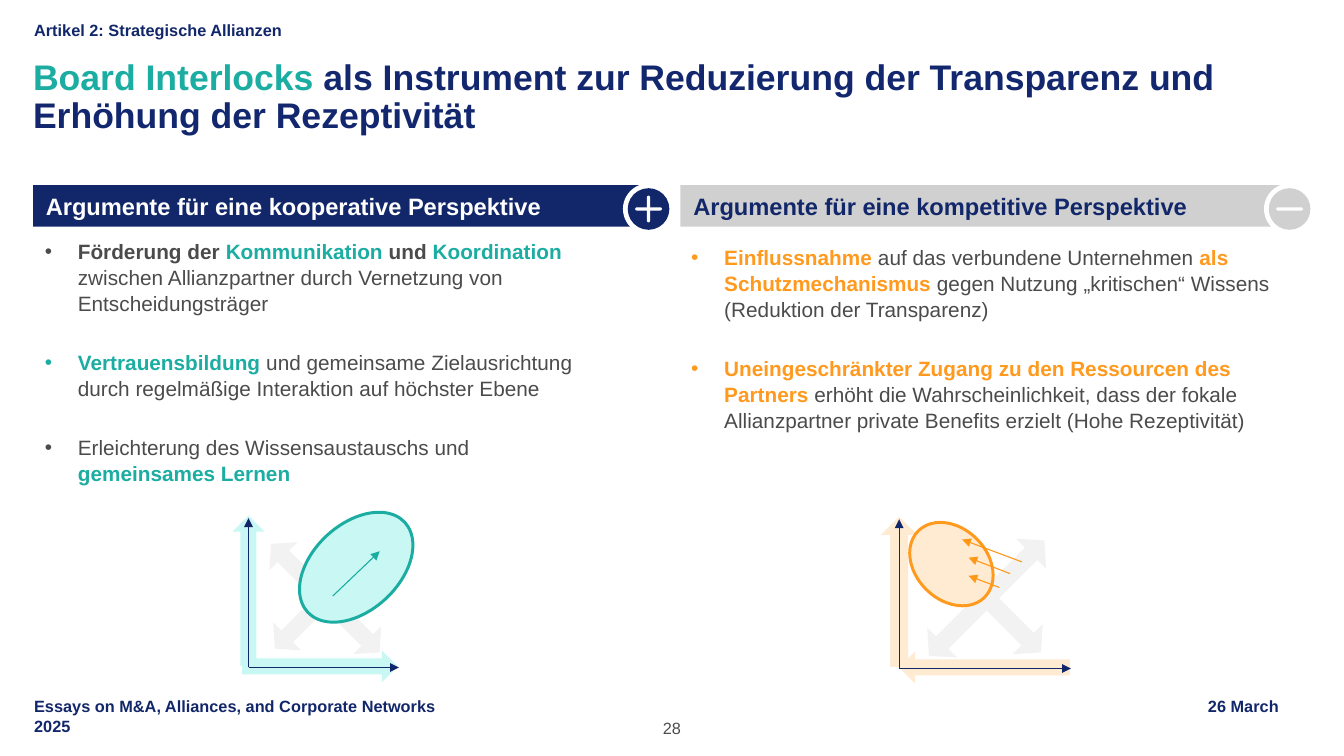
from dataclasses import dataclass

from lxml import etree
from pptx import Presentation
from pptx.dml.color import RGBColor
from pptx.enum.shapes import MSO_CONNECTOR, MSO_SHAPE
from pptx.enum.text import MSO_ANCHOR, MSO_AUTO_SIZE, PP_ALIGN
from pptx.oxml.ns import qn
from pptx.util import Emu, Inches, Pt

RECT, ROUND, OVAL = MSO_SHAPE.RECTANGLE, MSO_SHAPE.ROUNDED_RECTANGLE, MSO_SHAPE.OVAL
ARROW, QUAD = MSO_SHAPE.RIGHT_ARROW, MSO_SHAPE.QUAD_ARROW
STRAIGHT = MSO_CONNECTOR.STRAIGHT
TOP, MIDDLE, BOTTOM = MSO_ANCHOR.TOP, MSO_ANCHOR.MIDDLE, MSO_ANCHOR.BOTTOM
LEFT, CENTER = PP_ALIGN.LEFT, PP_ALIGN.CENTER
NO_FIT = MSO_AUTO_SIZE.NONE


@dataclass(frozen=True)
class Theme:
    font: str = "Arial"
    navy: str = "122769"
    title_navy: str = "12276E"
    teal: str = "1BADA2"
    teal_tint: str = "C9F7F3"
    orange: str = "FF9A1E"
    orange_tint: str = "FFEBD2"
    arrow_orange: str = "FF9718"
    text: str = "4B4B4B"
    gray: str = "D0D0D0"
    pale: str = "F2F2F2"
    white: str = "FFFFFF"
    small: float = 11
    body: float = 14
    header: float = 16
    title: float = 24


T = Theme()


def write(p, text, size=T.body, color=T.text, bold=False):
    r = p.add_run()
    r.text = text
    r.font.name, r.font.size, r.font.bold = T.font, Pt(size), bold
    r.font.color.rgb = RGBColor.from_string(color)


class SlideBuilder:
    """Holds the theme and the current slide and adds its elements."""

    def __init__(self, s, theme):
        self.s, self.t = s, theme

    def place(self, sp, x, y, w, h):
        sp.left, sp.top, sp.width, sp.height = map(Inches, (x, y, w, h))

    def frame(self, sp, anchor=TOP, insets=(0, 0, 0, 0)):
        tf = sp.text_frame
        tf.word_wrap, tf.auto_size, tf.vertical_anchor = True, NO_FIT, anchor
        tf.margin_left, tf.margin_top, tf.margin_right, tf.margin_bottom = map(Inches, insets)
        return tf

    def paragraph(self, tf, runs, first=True, spacing=1.04, before=0, align=LEFT):
        p = tf.paragraphs[0] if first else tf.add_paragraph()
        p.alignment, p.line_spacing = align, spacing
        p.space_before, p.space_after = Pt(0 if first else before), Pt(0)
        for text, fmt in runs:
            write(p, text, **fmt)
        return p

    def title(self, runs):
        sp = self.s.shapes.title
        self.place(sp, 0.31, 0.56, 11.97, 0.73)
        self.paragraph(self.frame(sp), runs, spacing=0.9)

    def bullets(self, idx, x, y, w, h, items):
        sp = self.s.placeholders[idx]
        self.place(sp, x, y, w, h)
        tf = self.frame(sp, insets=(0.1, 0.05, 0.1, 0.05))
        for i, runs in enumerate(items):
            p = self.paragraph(tf, runs, first=i == 0, before=22.5)
            pPr = p._p.get_or_add_pPr()
            pPr.set("marL", str(Inches(0.31)))
            pPr.set("indent", str(Inches(-0.31)))
            etree.SubElement(pPr, qn("a:buFont")).set("typeface", self.t.font)
            etree.SubElement(pPr, qn("a:buChar")).set("char", "•")

    def label(self, x, y, w, h, lines, align=LEFT, tab=None, spacing=1.04, color=T.navy, bold=True):
        sp = self.s.shapes.add_textbox(0, 0, 0, 0)
        self.place(sp, x, y, w, h)
        tf = self.frame(sp, BOTTOM)
        fmt = dict(size=self.t.small, color=color, bold=bold)
        for i, line in enumerate(lines):
            p = self.paragraph(tf, [(line, fmt)], first=i == 0, align=align, spacing=spacing)
            if tab and "\t" in line:
                tabs = etree.SubElement(p._p.get_or_add_pPr(), qn("a:tabLst"))
                stop = etree.SubElement(tabs, qn("a:tab"))
                stop.set("pos", str(Inches(tab)))
                stop.set("algn", "r")

    def shape(self, kind, cx, cy, w, h, fill, line=None, rotation=0, adj=()):
        sp = self.s.shapes.add_shape(
            kind, Inches(cx - w / 2), Inches(cy - h / 2), Inches(w), Inches(h))
        sp.shadow.inherit = False
        sp.rotation = rotation
        sp.fill.solid()
        sp.fill.fore_color.rgb = RGBColor.from_string(fill)
        if line:
            sp.line.color.rgb, sp.line.width = RGBColor.from_string(line), Pt(2)
        else:
            sp.line.fill.background()
        for i, value in enumerate(adj):
            sp.adjustments[i] = value
        return sp

    def arrow(self, start, end, color):
        points = [Inches(v) for v in (*start, *end)]
        c = self.s.shapes.add_connector(STRAIGHT, *points)
        c.line.color.rgb, c.line.width = RGBColor.from_string(color), Pt(0.75)
        etree.SubElement(c.line._get_or_add_ln(), qn("a:tailEnd")).set("type", "triangle")
        etree.SubElement(c._element.spPr, qn("a:effectLst"))

    def header(self, x, w, text, fill, color):
        sp = self.shape(RECT, x + w / 2, 1.93, w, 0.39, fill)
        tf = self.frame(sp, MIDDLE, (0.12, 0.08, 0.08, 0.08))
        self.paragraph(tf, [(text, dict(size=self.t.header, color=color, bold=True))])

    def badge(self, cx, fill, bars):
        cy = 1.96
        self.shape(OVAL, cx, cy, 0.48, 0.48, self.t.white)
        self.shape(OVAL, cx, cy, 0.39, 0.39, fill)
        for w, h in bars:
            self.shape(ROUND, cx, cy, w, h, self.t.white, adj=(0.5,))

    def axes(self, x, y, width, tint, quad, band, thickness, turn):
        self.shape(QUAD, *quad, self.t.pale, rotation=45, adj=(0.114, 0.138, 0.122))
        self.shape(ARROW, *band, 0.3, tint, rotation=turn)
        self.shape(ARROW, x, y - 0.72, 1.41, thickness, tint, rotation=270)
        for end in ((x, y - 1.4), (x + width, y)):
            self.arrow((x, y), end, self.t.navy)


def main():
    prs = Presentation()
    prs.slide_width, prs.slide_height = Inches(12.6), Inches(7.09)
    b = SlideBuilder(prs.slides.add_slide(prs.slide_layouts[3]), T)
    plain, strong = dict(), dict(bold=True)
    teal, orange = dict(color=T.teal, bold=True), dict(color=T.orange, bold=True)

    b.label(0.32, 0, 11.97, 0.37, ["Artikel 2: Strategische Allianzen"])
    b.title([
        ("Board Interlocks ", dict(size=T.title, **teal)),
        ("als Instrument zur Reduzierung der Transparenz und Erhöhung der Rezeptivität",
         dict(size=T.title, color=T.title_navy, bold=True)),
    ])
    b.bullets(1, 0.32, 2.18, 5.51, 2.6, [
        [("Förderung der ", strong), ("Kommunikation", teal), (" und ", strong),
         ("Koordination ", teal),
         ("zwischen Allianzpartner durch Vernetzung von Entscheidungsträger", plain)],
        [("Vertrauensbildung", teal),
         (" und gemeinsame Zielausrichtung durch regelmäßige Interaktion auf höchster Ebene", plain)],
        [("Erleichterung des Wissensaustauschs und ", plain), ("gemeinsames Lernen", teal)],
    ])
    b.bullets(2, 6.38, 2.24, 5.71, 2.5, [
        [("Einflussnahme ", orange), ("auf das verbundene Unternehmen ", plain),
         ("als Schutzmechanismus", orange),
         (" gegen Nutzung „kritischen“ Wissens (Reduktion der Transparenz)", plain)],
        [("Uneingeschränkter Zugang zu den Ressourcen des Partners ", orange),
         ("erhöht die Wahrscheinlichkeit, dass der fokale Allianzpartner private Benefits "
          "erzielt (Hohe Rezeptivität)", plain)],
    ])

    b.header(0.31, 5.74, "Argumente für eine kooperative Perspektive", T.navy, T.white)
    b.header(6.38, 5.76, "Argumente für eine kompetitive Perspektive", T.gray, T.navy)
    minus, upright = (0.25, 0.03), (0.03, 0.25)
    b.badge(6.08, T.navy, [minus, upright])
    b.badge(12.09, T.gray, [minus])

    b.axes(8.43, 6.27, 1.61, T.orange_tint, (9.25, 5.61, 1.44, 1.53), (9.23, 6.26, 1.6), 0.34, 180)
    b.shape(OVAL, 8.92, 5.29, 0.88, 0.67, T.orange_tint, line=T.orange, rotation=225)
    for start, end in (((9.37, 5.51), (9.08, 5.4)), ((9.47, 5.38), (9.08, 5.23)),
                       ((9.58, 5.27), (9.02, 5.06))):
        b.arrow(start, end, T.arrow_orange)

    b.axes(2.33, 6.26, 1.41, T.teal_tint, (3.05, 5.61, 1.44, 1.34), (3, 6.25, 1.46), 0.3, 0)
    b.shape(OVAL, 3.34, 5.32, 1.24, 0.81, T.teal_tint, line=T.teal, rotation=317.2)
    b.arrow((3.12, 5.59), (3.56, 5.17), T.teal)

    b.label(0.32, 6.53, 11.97, 0.37,
            ["Essays on M&A, Alliances, and Corporate Networks\t26 March", "2025"], tab=11.67)
    b.label(5.85, 6.73, 0.9, 0.19, ["28"], align=CENTER, spacing=1.0, color=T.text, bold=False)
    prs.save("out.pptx")


if __name__ == "__main__":
    main()
